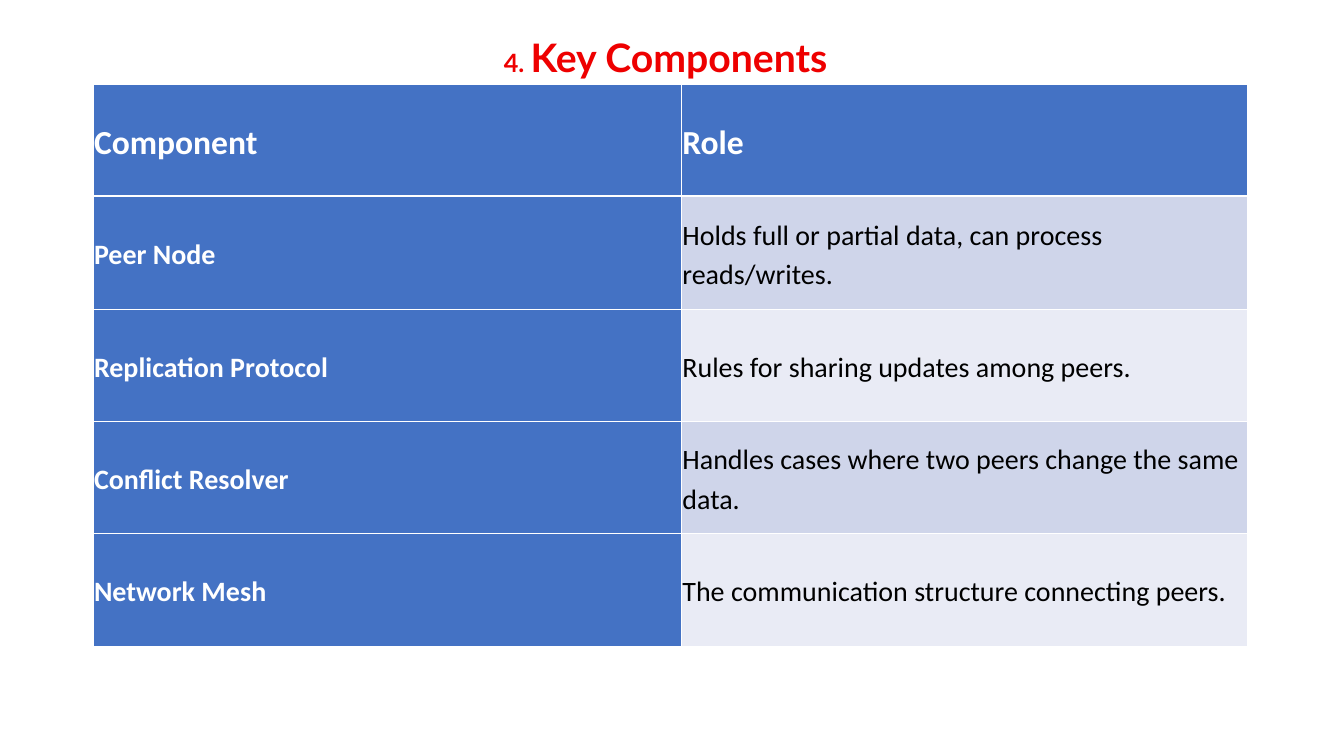
from dataclasses import dataclass

from lxml.etree import SubElement
from pptx import Presentation
from pptx.dml.color import RGBColor
from pptx.enum.text import MSO_ANCHOR as Anchor, MSO_AUTO_SIZE as AutoSize
from pptx.oxml.ns import qn
from pptx.slide import Slide
from pptx.util import Pt

BLUE, WHITE, BLACK, RED = "4472C4", "FFFFFF", "000000", "EE0000"
BANDS = ("CFD5EA", "E9EBF5")
COLUMN_WIDTHS = (420.5, 404.6)
ROW_HEIGHT = 80.3
THIN, THICK = 0.45, 1.47


@dataclass(frozen=True)
class Component:
    name: str
    role: str


@dataclass(frozen=True)
class RunStyle:
    size: float
    font: str
    color: str
    bold: bool


HEADING = Component("Component", "Role")
COMPONENTS = (
    Component("Peer Node", "Holds full or partial data, can process reads/writes."),
    Component("Replication Protocol", "Rules for sharing updates among peers."),
    Component("Conflict Resolver", "Handles cases where two peers change the same data."),
    Component("Network Mesh", "The communication structure connecting peers."),
)
HEADING_STYLE = RunStyle(24, "Calibri", WHITE, True)
NAME_STYLE = RunStyle(20, "Calibri", WHITE, True)
ROLE_STYLE = RunStyle(20, "Calibri", BLACK, False)


def rgb(color: str) -> RGBColor:
    return RGBColor.from_string(color)


def space_paragraph(paragraph) -> None:
    paragraph.line_spacing = 1.15
    paragraph.space_after = Pt(8)


def add_run(paragraph, text: str, style: RunStyle) -> None:
    run = paragraph.add_run()
    run.text = text
    run.font.size = Pt(style.size)
    run.font.name = style.font
    run.font.bold = style.bold
    run.font.color.rgb = rgb(style.color)


def add_border(cell, side: str, width: float) -> None:
    line = SubElement(cell._tc.get_or_add_tcPr(), qn(f"a:ln{side}"), w=str(int(Pt(width))))
    SubElement(SubElement(line, qn("a:solidFill")), qn("a:srgbClr"), val=WHITE)


def fill_cell(cell, text: str, style: RunStyle, fill: str, row: int) -> None:
    cell.margin_left = cell.margin_right = Pt(0.7)
    cell.margin_top = cell.margin_bottom = Pt(3.6)
    cell.vertical_anchor = Anchor.MIDDLE
    add_border(cell, "L", THIN)
    add_border(cell, "R", THIN)
    add_border(cell, "T", THICK if row == 1 else THIN)
    add_border(cell, "B", THICK if row == 0 else THIN)
    cell.fill.solid()
    cell.fill.fore_color.rgb = rgb(fill)
    paragraph = cell.text_frame.paragraphs[0]
    space_paragraph(paragraph)
    add_run(paragraph, text, style)


def add_components(slide: Slide) -> None:
    row_count = len(COMPONENTS) + 1
    table = slide.shapes.add_table(
        row_count, 2, Pt(66.5), Pt(60), Pt(sum(COLUMN_WIDTHS)), Pt(ROW_HEIGHT * row_count)
    ).table
    for column, width in zip(table.columns, COLUMN_WIDTHS):
        column.width = Pt(width)
    for table_row in table.rows:
        table_row.height = Pt(ROW_HEIGHT)
    fill_cell(table.cell(0, 0), HEADING.name, HEADING_STYLE, BLUE, 0)
    fill_cell(table.cell(0, 1), HEADING.role, HEADING_STYLE, BLUE, 0)
    for row, component in enumerate(COMPONENTS, 1):
        fill_cell(table.cell(row, 0), component.name, NAME_STYLE, BLUE, row)
        fill_cell(table.cell(row, 1), component.role, ROLE_STYLE, BANDS[(row - 1) % 2], row)


def add_title(slide: Slide) -> None:
    frame = slide.shapes.add_textbox(Pt(353), Pt(15), Pt(328), Pt(46)).text_frame
    frame.word_wrap = True
    frame.auto_size = AutoSize.SHAPE_TO_FIT_TEXT
    title = frame.paragraphs[0]
    space_paragraph(title)
    add_run(title, "4. ", RunStyle(18, "Lato", RED, True))
    add_run(title, "Key Components", RunStyle(28, "Lato", RED, True))


def main() -> None:
    deck = Presentation()
    deck.slide_width, deck.slide_height = Pt(960.5), Pt(540)
    slide = deck.slides.add_slide(deck.slide_layouts[6])
    add_components(slide)
    add_title(slide)
    deck.save("out.pptx")


if __name__ == "__main__":
    main()
